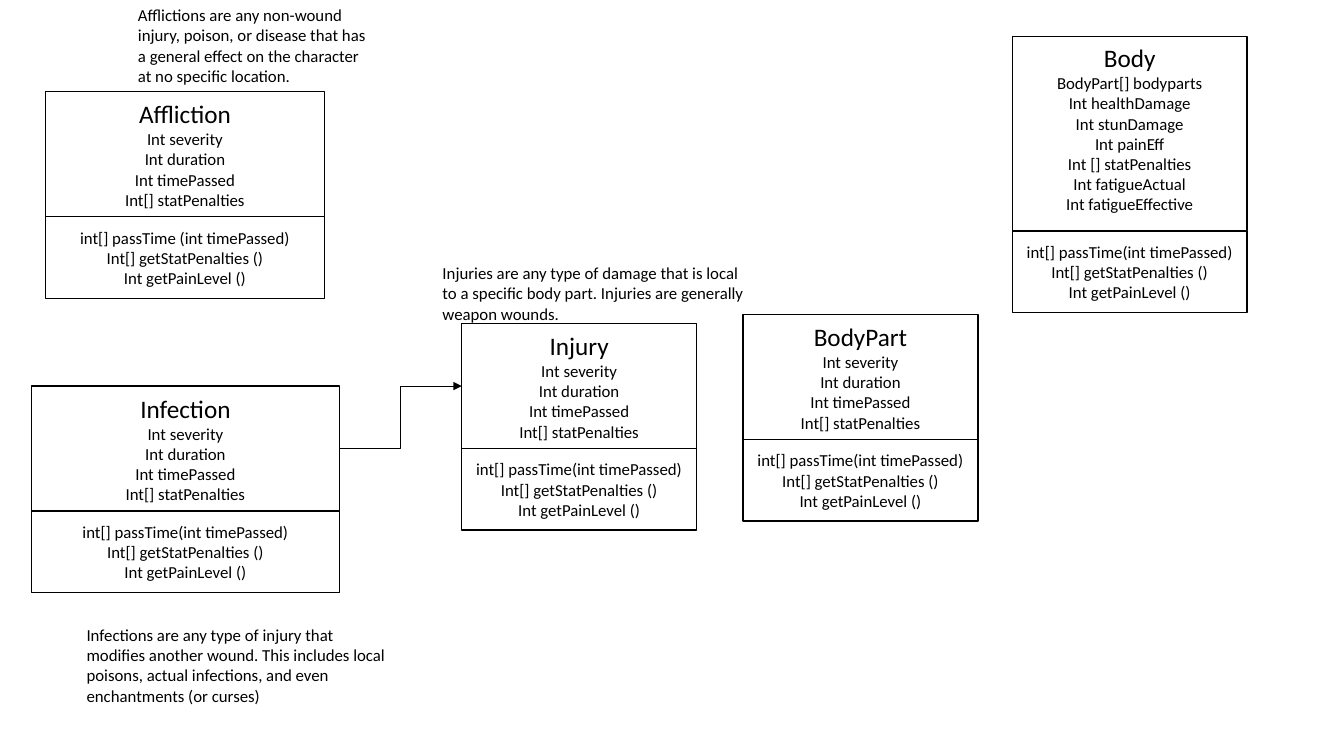
import pptx
import pptx.dml.color
import pptx.enum.shapes
import pptx.enum.text
import pptx.util
import lxml.etree
from pptx.util import Inches

BLACK = pptx.dml.color.RGBColor(0, 0, 0)
WHITE = pptx.dml.color.RGBColor(255, 255, 255)
FONT = "Calibri"
TITLE_SIZE, BODY_SIZE = 18, 12
METHODS_HEIGHT = 0.81
CENTER = pptx.enum.text.PP_ALIGN.CENTER
LEFT = pptx.enum.text.PP_ALIGN.LEFT

WOUND_FIELDS = ["Int severity", "Int duration", "Int timePassed", "Int[] statPenalties"]
BODY_FIELDS = ["BodyPart[] bodyparts", "Int healthDamage", "Int stunDamage", "Int painEff",
               "Int [] statPenalties", "Int fatigueActual", "Int fatigueEffective"]
PAIN = "Int getPainLevel ()"
STATS = "Int[] getStatPenalties ()"
PASS_TIME = "int[] passTime(int timePassed)"
WRAPPED_METHODS = [f"{PASS_TIME} {STATS}", PAIN]

# name, left, top, width, height of the fields box, bottom inset, fields, methods
CLASSES = [
    ("Affliction", 0.45, 0.91, 2.77, 1.24, 0.05, WOUND_FIELDS,
     ["int[] passTime (int timePassed)", STATS, PAIN]),
    ("Injury", 4.58, 3.21, 2.33, 1.24, 0.05, WOUND_FIELDS, WRAPPED_METHODS),
    ("Infection", 0.31, 3.83, 3.06, 1.24, 0.05, WOUND_FIELDS, [PASS_TIME, STATS, PAIN]),
    ("Body", 10.04, 0.36, 2.33, 1.93, 0.15, BODY_FIELDS, WRAPPED_METHODS),
    ("BodyPart", 7.37, 3.12, 2.33, 1.24, 0.05, WOUND_FIELDS, WRAPPED_METHODS),
]

# left, top, width, height, text
NOTES = [
    (1.27, 0, 2.51, 0.91, "Afflictions are any non-wound injury, poison, or disease that has "
                          "a general effect on the character at no specific location."),
    (4.29, 2.56, 3.25, 0.71, "Injuries are any type of damage that is local to a specific "
                             "body part. Injuries are generally weapon wounds."),
    (0.76, 6.15, 3.25, 0.91, "Infections are any type of injury that modifies another wound. "
                             "This includes local poisons, actual infections, and even "
                             "enchantments (or curses)"),
]


def write_lines(frame, lines, align):
    """Write (text, size) pairs as paragraphs of a text frame."""
    frame.word_wrap = True
    for index, (text, size) in enumerate(lines):
        paragraph = frame.paragraphs[0] if index == 0 else frame.add_paragraph()
        paragraph.alignment = align
        run = paragraph.add_run()
        run.text = text
        run.font.name = FONT
        run.font.size = pptx.util.Pt(size)
        run.font.color.rgb = BLACK


def add_section(group, left, top, width, height, lines, inset=0.05):
    """Add one outlined compartment of a class."""
    section = group.shapes.add_shape(pptx.enum.shapes.MSO_SHAPE.RECTANGLE, Inches(left),
                                     Inches(top), Inches(width), Inches(height))
    section.shadow.inherit = False
    section.fill.solid()
    section.fill.fore_color.rgb = WHITE
    section.line.color.rgb = BLACK
    section.line.width = pptx.util.Pt(1)
    section.text_frame.vertical_anchor = pptx.enum.text.MSO_ANCHOR.MIDDLE
    section.text_frame.margin_bottom = Inches(inset)
    write_lines(section.text_frame, lines, CENTER)
    return section


def add_class(slide, name, left, top, width, height, inset, fields, methods):
    """Add a class with its methods below its fields; return the fields box."""
    group = slide.shapes.add_group_shape()
    heading = [(name, TITLE_SIZE)] + [(field, BODY_SIZE) for field in fields]
    fields_box = add_section(group, left, top, width, height, heading, inset)
    add_section(group, left, top + height, width, METHODS_HEIGHT,
                [(method, BODY_SIZE) for method in methods])
    return fields_box


def add_arrow(slide, source, target):
    """Join the right side of one box to the left side of another."""
    arrow = slide.shapes.add_connector(pptx.enum.shapes.MSO_CONNECTOR.ELBOW, 0, 0, 0, 0)
    arrow.begin_connect(source, 3)
    arrow.end_connect(target, 1)
    arrow.line.color.rgb = BLACK
    arrow.line.width = pptx.util.Pt(0.5)
    properties = arrow._element.spPr
    outline = properties.find(pptx.oxml.ns.qn("a:ln"))
    lxml.etree.SubElement(outline, pptx.oxml.ns.qn("a:tailEnd"), type="triangle")
    lxml.etree.SubElement(properties, pptx.oxml.ns.qn("a:effectLst"))


deck = pptx.Presentation()
deck.slide_width, deck.slide_height = Inches(13.33), Inches(7.5)
slide = deck.slides.add_slide(deck.slide_layouts[6])

fields_boxes = {entry[0]: add_class(slide, *entry) for entry in CLASSES}
for left, top, width, height, text in NOTES:
    note = slide.shapes.add_textbox(Inches(left), Inches(top), Inches(width), Inches(height))
    write_lines(note.text_frame, [(text, BODY_SIZE)], LEFT)
add_arrow(slide, fields_boxes["Infection"], fields_boxes["Injury"])

deck.save("out.pptx")
